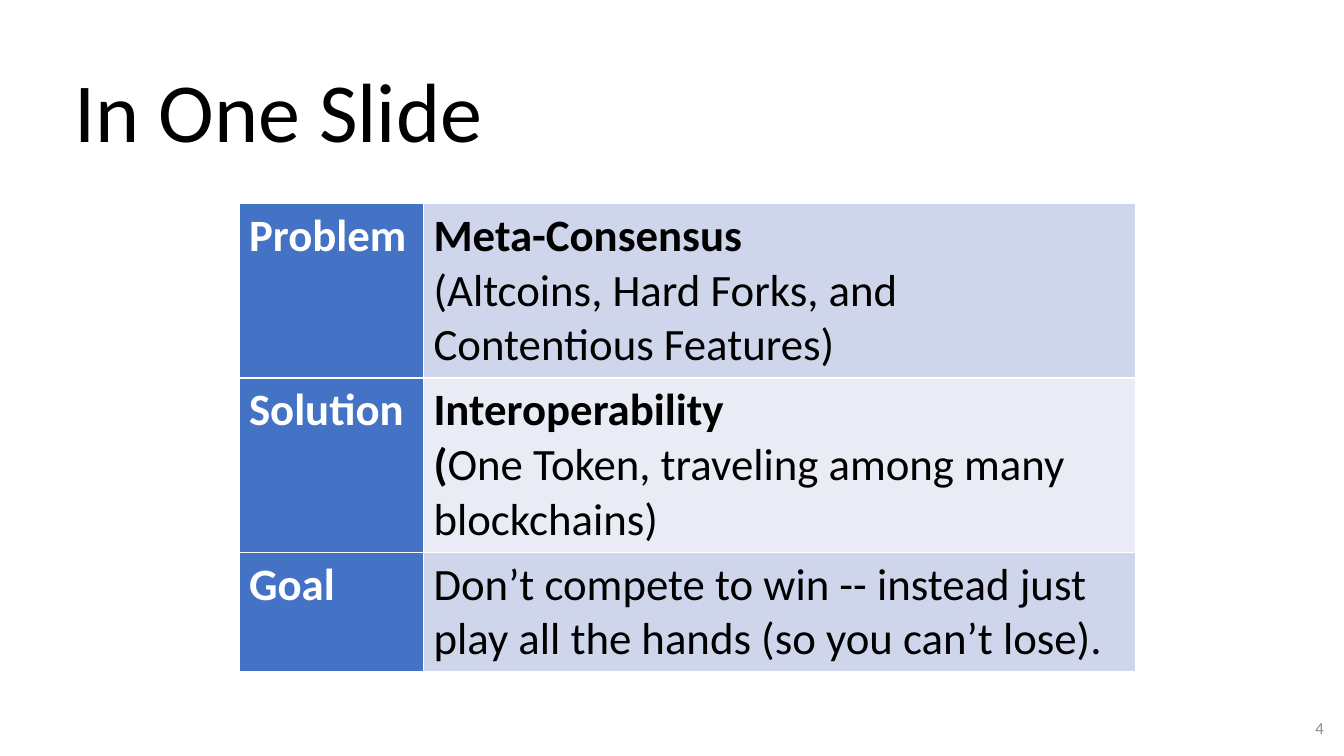
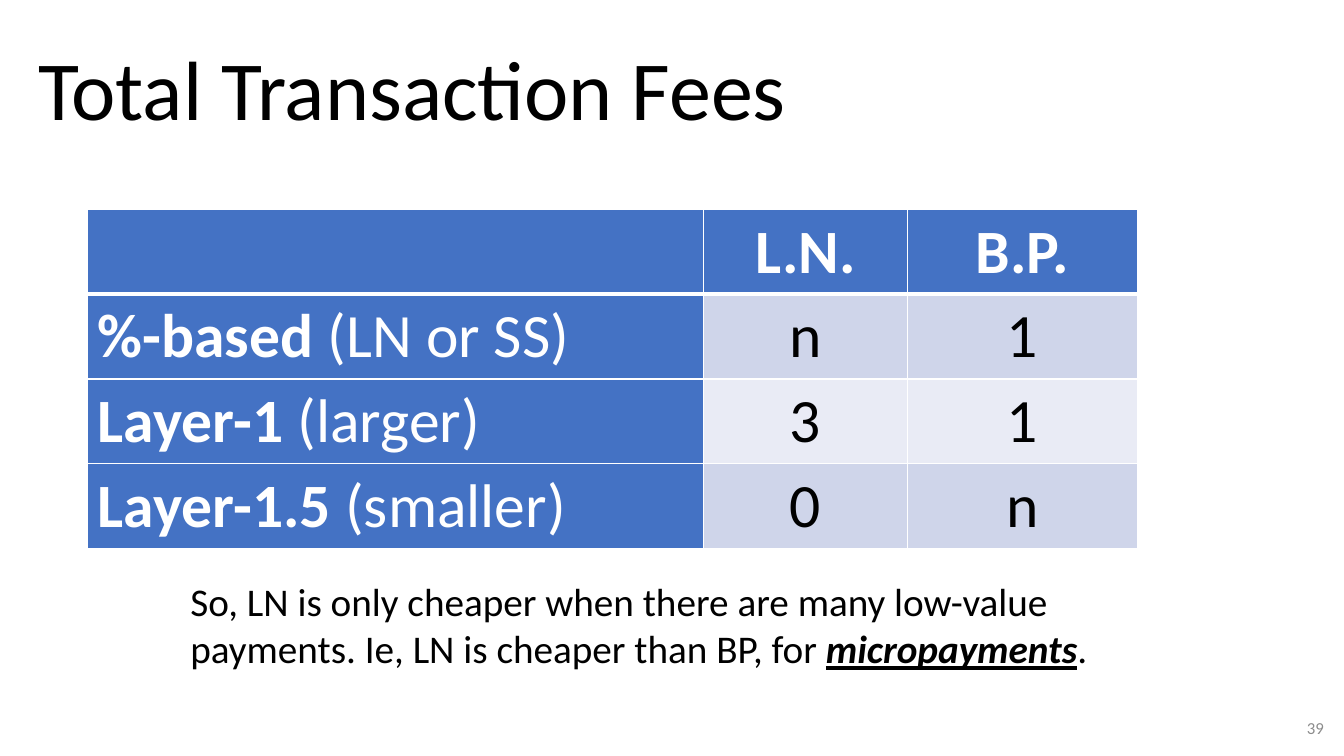
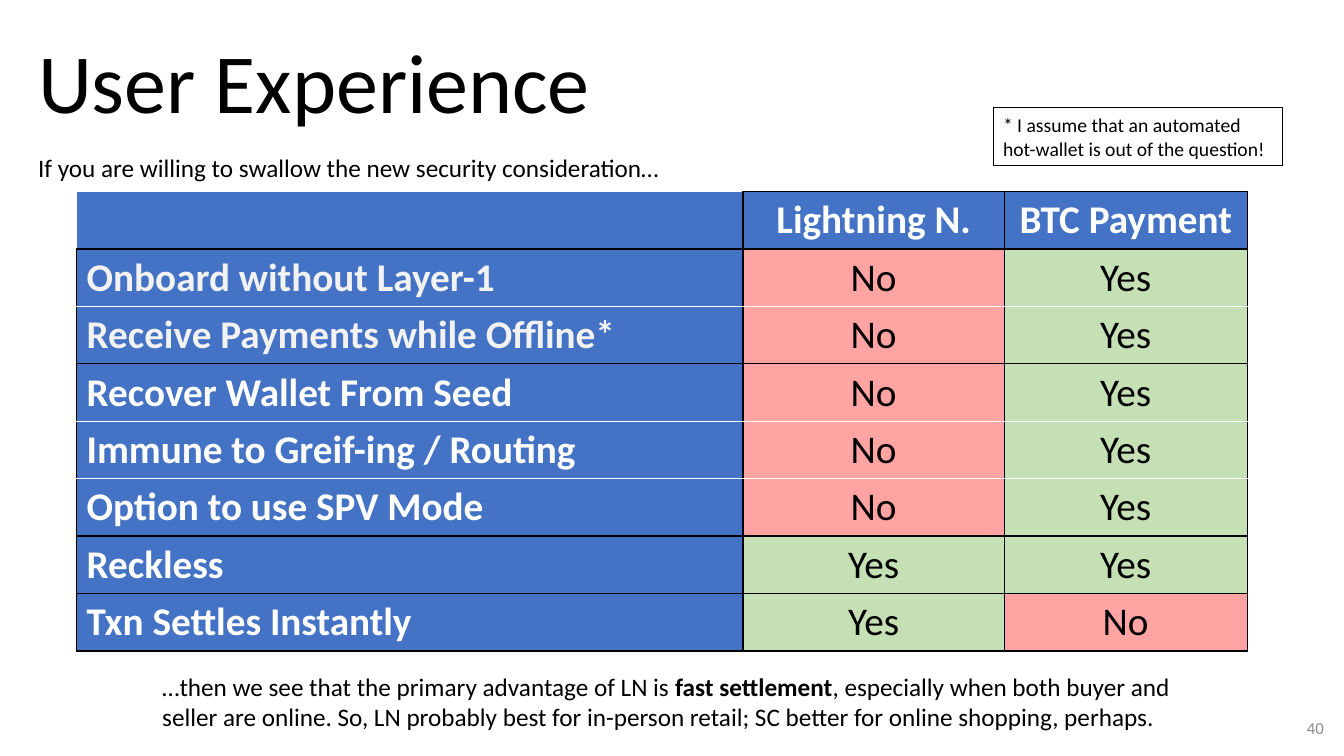
import lxml.etree
import pptx
import pptx.dml.color
import pptx.enum.shapes
import pptx.enum.text
import pptx.oxml.ns
import pptx.util

ALIGN = pptx.enum.text.PP_ALIGN
ANCHOR = pptx.enum.text.MSO_ANCHOR
qn = pptx.oxml.ns.qn

COLORS = {
    "white": "FFFFFF", "black": "000000", "grey": "8C8C8C", "pale": "F2F2F2",
    "blue": "4472C4", "band": "CFD5EA", "light_band": "E9EBF5",
    "red": "FF5050", "green": "C5E0B4",
}
FLAGS = {"b": "bold", "i": "italic", "u": "underline"}


def px(length):
    """100 px to the inch."""
    return pptx.util.Emu(length * 9144)


def rgb(color):
    return pptx.dml.color.RGBColor.from_string(COLORS[color])


class Deck:
    font = "Calibri"

    def __init__(self):
        self.prs = pptx.Presentation()
        self.prs.slide_width, self.prs.slide_height = px(1333), px(750)
        self.slide = None

    def new_slide(self, number, title, title_box):
        self.slide = self.prs.slides.add_slide(self.prs.slide_layouts[6])
        heading = self.text(title_box, title, 60, anchor=ANCHOR.MIDDLE)
        heading.paragraphs[0].line_spacing = 0.9
        self.text((1023, 702, 300, 40), str(number), 12, "grey",
                  ALIGN.RIGHT, ANCHOR.MIDDLE)

    def set_text(self, frame, content, size, color, align=ALIGN.LEFT):
        """Fill a frame with paragraphs: each a string or a list of (text, flags) runs."""
        lines = content if isinstance(content, tuple) else (content,)
        for index, line in enumerate(lines):
            paragraph = frame.add_paragraph() if index else frame.paragraphs[0]
            paragraph.alignment = align
            font = paragraph.font
            font.name, font.size = self.font, pptx.util.Pt(size)
            font.color.rgb = rgb(color)
            runs = [(line, "")] if isinstance(line, str) else line
            for text, flags in runs:
                run = paragraph.add_run()
                run.text = text
                for flag in flags:
                    setattr(run.font, FLAGS[flag], True)

    def text(self, box, content, size, color="black", align=ALIGN.LEFT, anchor=ANCHOR.TOP):
        frame = self.slide.shapes.add_textbox(*map(px, box)).text_frame
        frame.word_wrap = True
        frame.vertical_anchor = anchor
        self.set_text(frame, content, size, color, align)
        return frame

    def note(self, box, content, size):
        shape = self.slide.shapes.add_shape(
            pptx.enum.shapes.MSO_SHAPE.RECTANGLE, *map(px, box))
        shape.shadow.inherit = False
        shape.fill.background()
        shape.line.color.rgb = rgb("black")
        shape.line.width = pptx.util.Pt(0.75)
        shape.text_frame.word_wrap = True
        self.set_text(shape.text_frame, content, size, "black")

    def table(self, corner, widths, heights, rows, size, style, borders):
        """style gives (fill, opacity, text colour, align); borders gives {side: (colour, width)}."""
        grid = self.slide.shapes.add_table(
            len(rows), len(widths), *map(px, (*corner, sum(widths), sum(heights)))).table
        grid.first_row = grid.horz_banding = False
        for column, width in zip(grid.columns, widths):
            column.width = px(width)
        for r, (height, row) in enumerate(zip(heights, rows)):
            grid.rows[r].height = px(height)
            for c, content in enumerate(row):
                cell = grid.cell(r, c)
                fill, opacity, color, align = style(r, c, content)
                cell.fill.solid()
                cell.fill.fore_color.rgb = rgb(fill)
                if opacity < 100:
                    tint = next(cell._tc.tcPr.iter(qn("a:srgbClr")))
                    lxml.etree.SubElement(tint, qn("a:alpha"), val=str(opacity * 1000))
                if content:
                    self.set_text(cell.text_frame, content, size, color, align)
                if align == ALIGN.CENTER and r:
                    cell.vertical_anchor = ANCHOR.MIDDLE
                self.cell_borders(cell, borders(r, c))

    def cell_borders(self, cell, sides):
        for index, side in enumerate("LRTB"):
            color, width = sides[side]
            line = lxml.etree.Element(qn(f"a:ln{side}"), w=str(int(pptx.util.Pt(width))))
            fill = lxml.etree.SubElement(line, qn("a:solidFill"))
            lxml.etree.SubElement(fill, qn("a:srgbClr"), val=COLORS[color])
            cell._tc.tcPr.insert(index, line)


def bold(text):
    return [(text, "b")]


# Styles of the tables
def summary_style(r, c, content):
    if c == 0:
        return "blue", 100, "white", ALIGN.LEFT
    return ("light_band" if r % 2 else "band"), 100, "black", ALIGN.LEFT


def fees_style(r, c, content):
    align = ALIGN.CENTER if c else ALIGN.LEFT
    if r == 0 or c == 0:
        return "blue", 100, "white", align
    return ("band" if r % 2 else "light_band"), 100, "black", align


def experience_style(r, c, content):
    if r == 0 or c == 0:
        color = "pale" if r in (1, 2) else "white"
        return "blue", 100, color, ALIGN.CENTER if c else ALIGN.LEFT
    fill, opacity = ("green", 100) if content == "Yes" else ("red", 52)
    return fill, opacity, "black", ALIGN.CENTER


# Borders of the tables
def white_borders(r, c):
    return dict.fromkeys("LRTB", ("white", 1))


def fees_borders(r, c):
    heavy = ("white", 3)
    sides = white_borders(r, c)
    if r == 0:
        sides["B"] = heavy
    if r == 1:
        sides["T"] = heavy
    return sides


def experience_borders(r, c):
    white_below = (1, 3, 4)
    sides = dict.fromkeys("LRTB", ("black", 1))
    if r in white_below:
        sides["B"] = ("white", 1)
    if r - 1 in white_below:
        sides["T"] = ("white", 1)
    if r == c == 0:
        sides["L"] = sides["T"] = ("white", 1)
    return sides


def main():
    deck = Deck()

    # Summary
    deck.new_slide(4, "In One Slide", (64, 42, 1150, 145))
    summary = [
        (bold("Problem"),
         (bold("Meta-Consensus"), "(Altcoins, Hard Forks, and Contentious Features)")),
        (bold("Solution"),
         (bold("Interoperability"),
          [("(", "b"), ("One Token, traveling among many blockchains)", "")])),
        (bold("Goal"),
         "Don’t compete to win -- instead just play all the hands (so you can’t lose)."),
    ]
    deck.table((237, 202), (183, 706), (173, 173, 118), summary, 32,
               summary_style, white_borders)

    # Fees
    deck.new_slide(39, "Total Transaction Fees", (28, 0, 837, 186))
    fees = [
        ("", bold("L.N."), bold("B.P.")),
        ([("%-based", "b"), (" (LN or SS)", "")], "n", "1"),
        ([("Layer-1 ", "b"), ("(larger)", "")], "3", "1"),
        ([("Layer-1.5 ", "b"), ("(smaller)", "")], "0", "n"),
    ]
    deck.table((87, 208), (611, 202, 228), [84] * len(fees), fees, 44,
               fees_style, fees_borders)
    deck.text((179, 568, 923, 104), [
        ("So, LN is only cheaper when there are many low-value payments. "
         "Ie, LN is cheaper than BP, for ", ""),
        ("micropayments", "biu"), (".", "")], 28)

    # User experience
    deck.new_slide(40, "User Experience", (28, 18, 837, 136))
    answers = [
        ("Onboard without Layer-1", "No", "Yes"),
        ("Receive Payments while Offline*", "No", "Yes"),
        ("Recover Wallet From Seed", "No", "Yes"),
        ("Immune to Greif-ing / Routing", "No", "Yes"),
        ("Option to use SPV Mode", "No", "Yes"),
        ("Reckless", "Yes", "Yes"),
        ("Txn Settles Instantly", "Yes", "No"),
    ]
    experience = [("", bold("Lightning N."), bold("BTC Payment"))]
    experience += [(bold(feature), *verdicts) for feature, *verdicts in answers]
    deck.table((76, 190), (661, 259, 241), [57] * len(experience), experience, 28,
               experience_style, experience_borders)
    deck.text((28, 146, 727, 40),
              "If you are willing to swallow the new security consideration…", 18)
    deck.text((151, 661, 1031, 71), [
        ("…then we see that the primary advantage of LN is ", ""),
        ("fast settlement", "b"),
        (", especially when both buyer and seller are online. So, LN probably best "
         "for in-person retail; SC better for online shopping, perhaps.", "")], 18)
    deck.note((985, 107, 287, 57),
              "* I assume that an automated hot-wallet is out of the question!", 14)

    deck.prs.save("out.pptx")


if __name__ == "__main__":
    main()
